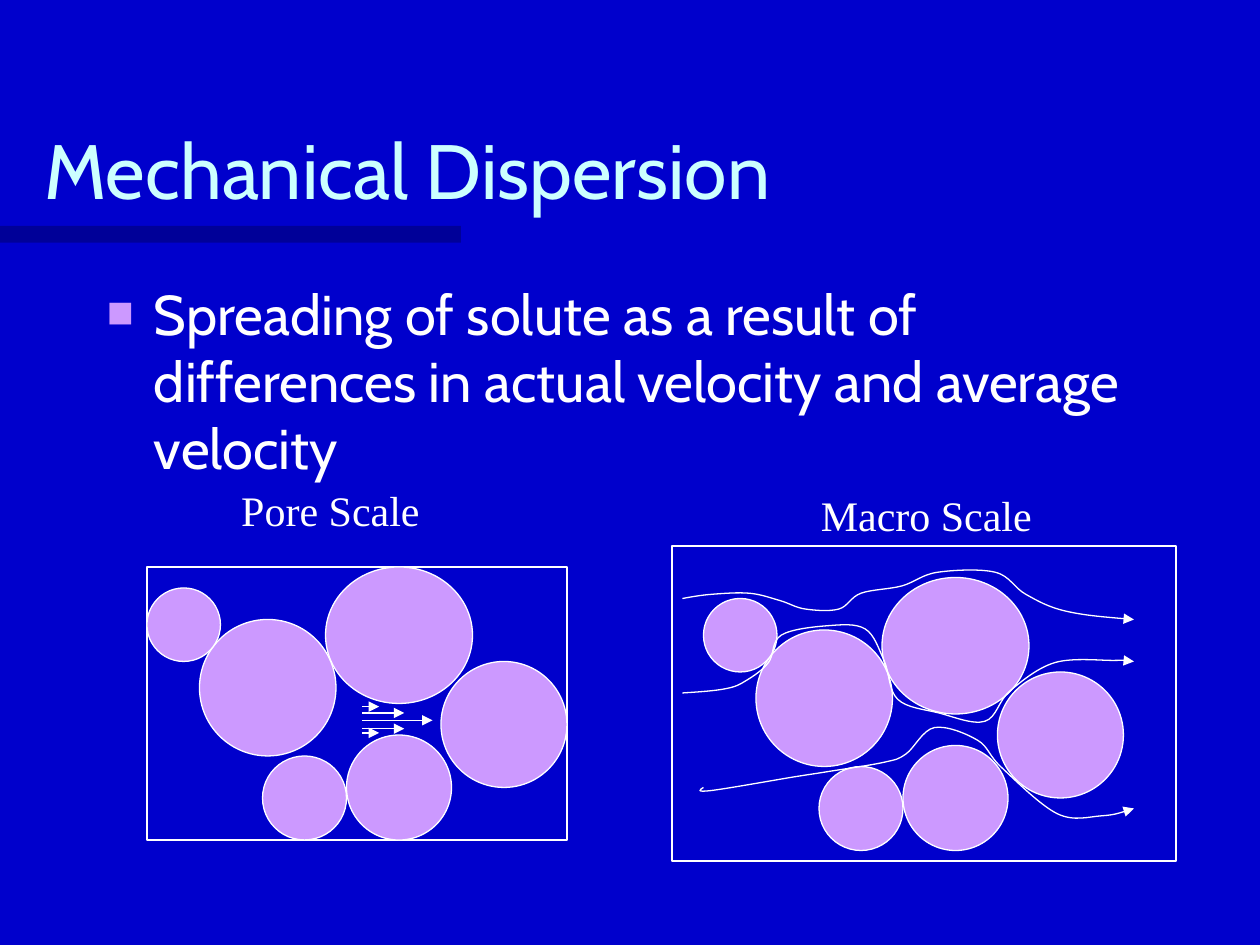
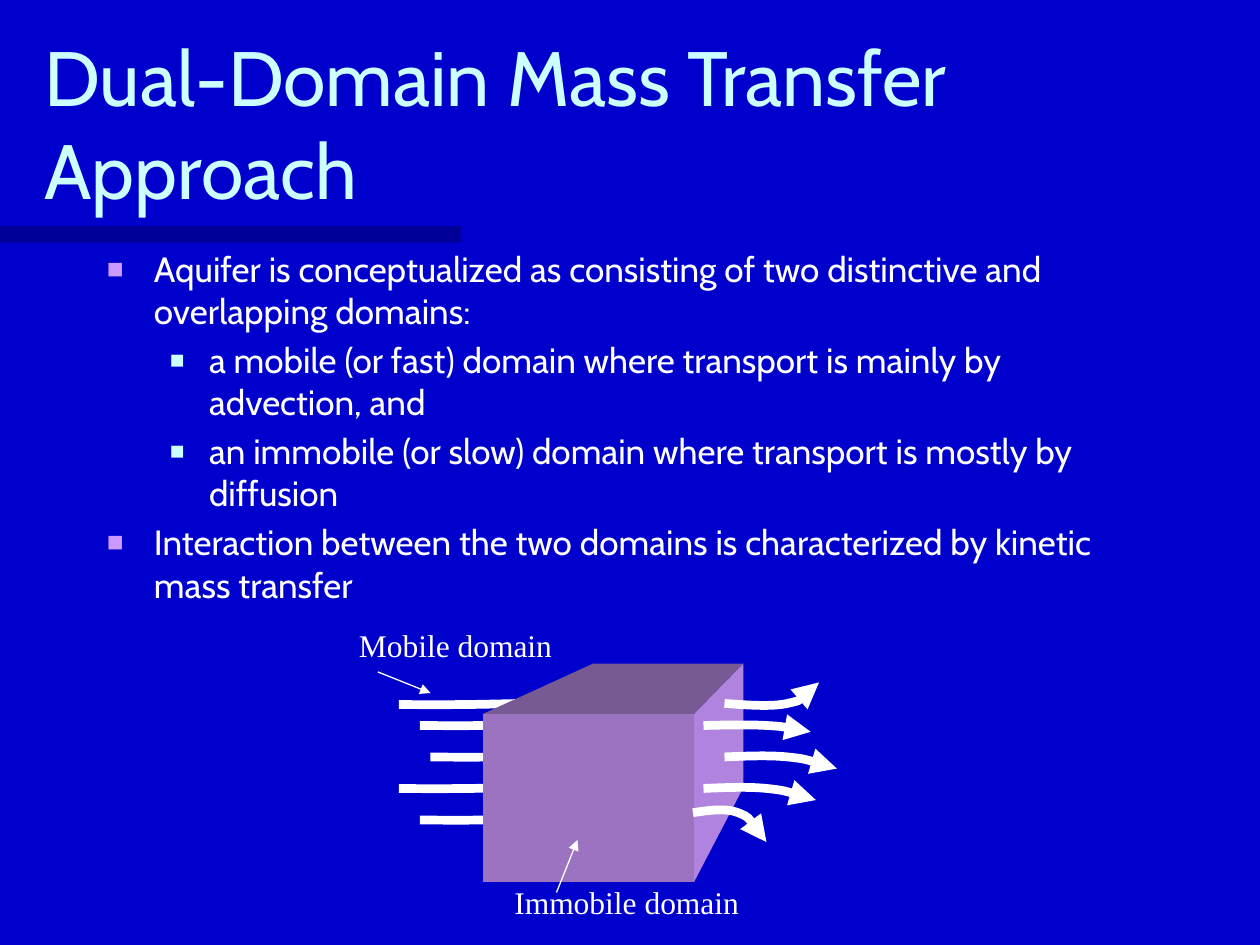
from lxml import etree
from pptx import Presentation
from pptx.dml.color import RGBColor
from pptx.enum.shapes import MSO_CONNECTOR, MSO_SHAPE
from pptx.enum.text import MSO_ANCHOR, MSO_AUTO_SIZE, PP_ALIGN
from pptx.oxml.ns import qn
from pptx.util import Cm, Pt

RECT, OVAL = MSO_SHAPE.RECTANGLE, MSO_SHAPE.OVAL
STRAIGHT = MSO_CONNECTOR.STRAIGHT
BOTTOM, LEFT = MSO_ANCHOR.BOTTOM, PP_ALIGN.LEFT
FIXED = MSO_AUTO_SIZE.NONE

COLORS = {
    "back": "0000CC", "band": "000066", "title": "CCFFFF", "text": "FFFFFF",
    "grain": "CC99FF", "front": "9B73C1", "top": "775993", "side": "B084DE",
}
SANS, SERIF = "Cabin", "Times New Roman"
GRID = 25.4 / 120
THIN, THICK = 0.75, 5
BULLETS = [("grain", 80, 0.95, 0.95), ("title", 70, 2.06, 0.79)]

GRAINS = [(5, 5, 13, 13), (17, 0, 14, 13), (11, 18, 8, 8),
          (19, 16, 10, 10), (0, 2, 7, 7), (28, 9, 12, 12)]
SPEEDS = [(14.6, 6.7), (13.9, 4), (13.3, 1.6), (15.4, 4), (15.8, 1.6)]
STREAMS = [
    [(1, 5), (3.8, 4.6), (7.4, 4.5), (10.3, 5.2), (12.7, 6), (15.9, 6),
     (18, 4.5), (21.9, 3.8), (25.3, 2.5), (30.8, 2.5), (33.7, 4.6),
     (37.5, 6.2), (44, 7)],
    [(1, 14), (5.1, 13.6), (7.1, 12.8), (9.2, 11.1), (10.4, 8.5),
     (14.8, 7.6), (18.4, 7.9), (20.2, 10.9), (21.5, 14.6), (25.4, 15.9),
     (29.8, 16.7), (32.2, 13.8), (36.5, 11.1), (42.1, 10.9), (44, 11)],
    [(3, 23), (3.7, 23.3), (11.6, 22), (14.8, 21.5), (20.2, 20.6),
     (22.3, 19.8), (25, 17.3), (29.1, 18.5), (31.4, 21.1), (36.7, 25.5),
     (40.9, 25.7), (44, 25)],
]
INLETS = [(5, 8), (8, 13), (5, 16), (7, 10), (7, 19)]
OUTLETS = [
    [(36, 8), (42, 8), (45, 6)],
    [(34, 16.1), (40, 16.1), (44.7, 17.2)],
    [(34, 10.1), (40, 10.1), (44.2, 10.7)],
    [(33, 18.4), (37.3, 18.4), (40, 21.2)],
    [(36, 13.1), (42, 13.1), (46.7, 14.2)],
]
FACES = [
    ("top", [(13, 9), (23.5, 4.2), (37.8, 4.2), (33.1, 9)]),
    ("side", [(33.1, 9), (37.8, 4.2), (37.8, 16), (33.1, 25)]),
]


def tint(name):
    return RGBColor.from_string(COLORS[name])


def unit(num):
    return Cm(num * GRID)


def shift(box, point):
    return unit(box[0] + point[0]), unit(box[1] + point[1])


def paint(shape, fill=None, line=None):
    shape.shadow.inherit = False
    if fill:
        shape.fill.solid()
        shape.fill.fore_color.rgb = tint(fill)
    else:
        shape.fill.background()
    if line:
        stroke(shape, line)
    else:
        shape.line.fill.background()
    return shape


def stroke(shape, width, arrow=False):
    shape.line.color.rgb = tint("text")
    shape.line.width = Pt(width)
    if arrow:
        edge = shape.element.find(".//" + qn("a:ln"))
        etree.SubElement(edge, qn("a:tailEnd"), type="triangle")


def form(slide, kind, box, part, fill=None, line=None):
    size = unit(part[2]), unit(part[3])
    shape = slide.shapes.add_shape(kind, *shift(box, part), *size)
    return paint(shape, fill, line)


def arrow(slide, box, start, end):
    ends = *shift(box, start), *shift(box, end)
    line = slide.shapes.add_connector(STRAIGHT, *ends)
    stroke(line, THIN, True)
    etree.SubElement(line.element.spPr, qn("a:effectLst"))


def outline(slide, box, points, close):
    spots = [shift(box, point) for point in points]
    pen = slide.shapes.build_freeform(*spots[0])
    pen.add_line_segments(spots[1:], close=close)
    return pen.convert_to_shape()


def bend(points):
    def slope(i):
        return [(b - a) / 6 for a, b in zip(points[i - 1], points[i + 1])]

    def middle(one, two):
        return tuple((a + b) / 2 for a, b in zip(one, two))

    last = len(points) - 1
    path = [points[0]]
    for i in range(last):
        start, end = points[i], points[i + 1]
        if i > 0:
            out = tuple(a + d for a, d in zip(start, slope(i)))
        if i + 1 < last:
            into = tuple(a - d for a, d in zip(end, slope(i + 1)))
        else:
            into = middle(out, end)
        if i == 0:
            out = middle(start, into)
        path += [out, into, end]
    return path


def curve(slide, box, points, width, arrow=False):
    shape = outline(slide, box, bend(points), False)
    legs = list(shape.element.iter(qn("a:lnTo")))
    for i in range(0, len(legs), 3):
        arc = etree.Element(qn("a:cubicBezTo"))
        legs[i].addprevious(arc)
        for leg in legs[i:i + 3]:
            arc.append(leg[0])
            leg.getparent().remove(leg)
    paint(shape)
    stroke(shape, width, arrow)


def write(para, text, size, font, color):
    run = para.add_run()
    run.text = text
    run.font.size = Pt(size)
    run.font.name = font
    run.font.color.rgb = tint(color)


def label(slide, box, part, text, size):
    spot = *shift(box, part), unit(part[2]), unit(part[3])
    frame = slide.shapes.add_textbox(*spot).text_frame
    frame.word_wrap = False
    write(frame.paragraphs[0], text, size, SERIF, "text")


def mark(para, level):
    color, size, indent, hang = BULLETS[level]
    para.level = level
    props = para._p.get_or_add_pPr()
    props.set("marL", str(Cm(indent)))
    props.set("indent", str(-Cm(hang)))
    hue = etree.SubElement(props, qn("a:buClr"))
    etree.SubElement(hue, qn("a:srgbClr"), val=COLORS[color])
    etree.SubElement(props, qn("a:buSzPct"), val=str(size * 1000))
    etree.SubElement(props, qn("a:buFont"), typeface=SERIF)
    etree.SubElement(props, qn("a:buChar"), char="■")


def place(shape, left, top, width, height):
    shape.left, shape.top = Cm(left), Cm(top)
    shape.width, shape.height = Cm(width), Cm(height)
    shape.text_frame.auto_size = FIXED
    return shape.text_frame


def base(prs, title, items, size, top, height):
    slide = prs.slides.add_slide(prs.slide_layouts[1])
    band = form(slide, RECT, (0, 0), (0, 21.5, 43.9, 1.6), "band")
    shade = band.element.find(".//" + qn("a:srgbClr"))
    etree.SubElement(shade, qn("a:alpha"), val="50000")

    head = place(slide.shapes.title, 0.64, 1.27, 21.59, 3.18)
    head.vertical_anchor = BOTTOM
    head.paragraphs[0].alignment = LEFT
    write(head.paragraphs[0], title, 44, SANS, "title")

    body = place(slide.placeholders[1], 1.9, top, 21.59, height)
    for i, (level, text) in enumerate(items):
        para = body.add_paragraph() if i else body.paragraphs[0]
        mark(para, level)
        write(para, text, size, SANS, "text")
    return slide


def grains(slide, box, inset):
    form(slide, RECT, box, (0, 0, *box[2:]), line=THIN)
    inner = box[0] + inset, box[1] + inset
    for grain in GRAINS:
        form(slide, OVAL, inner, grain, "grain", THIN)


def pore(slide, box):
    grains(slide, box, 0)
    label(slide, box, (7.8, -8.4, 19.4, 6), "Pore Scale", 24)
    for y, reach in SPEEDS:
        arrow(slide, box, (20.5, y), (20.5 + reach, y))


def macro(slide, box):
    grains(slide, box, 3)
    for stream in STREAMS:
        curve(slide, box, stream, THIN, True)
    label(slide, box, (13, -6, 22.6, 6), "Macro Scale", 24)


def domain(slide, box):
    for x, y in INLETS:
        curve(slide, box, [(x, y + 0.1), (x + 6, y + 0.1), (x + 11.3, y)], THICK)
    form(slide, RECT, box, (13, 9, 20.1, 16), "front")
    for color, points in FACES:
        paint(outline(slide, box, points, True), color)
    for outlet in OUTLETS:
        curve(slide, box, outlet, THICK, True)
    label(slide, box, (14.8, 24.5, 23.9, 4.8), "Immobile domain", 18)
    label(slide, box, (0, 0, 20.9, 4.8), "Mobile domain", 18)
    arrow(slide, box, (20, 26), (22, 21))
    arrow(slide, box, (3, 5), (8, 7))


def main():
    prs = Presentation()
    prs.slide_width, prs.slide_height = Cm(25.4), Cm(19.05)
    back = prs.slide_master.background.fill
    back.solid()
    back.fore_color.rgb = tint("back")

    slide = base(prs, "Mechanical Dispersion", [
        (0, "Spreading of solute as a result of differences in actual "
            "velocity and average velocity"),
    ], 32, 5.5, 11.43)
    pore(slide, (14, 54, 40, 26))
    macro(slide, (64, 52, 48, 30))

    slide = base(prs, "Dual-Domain Mass Transfer Approach", [
        (0, "Aquifer is conceptualized as consisting of two distinctive "
            "and overlapping domains:"),
        (1, "a mobile (or fast) domain where transport is mainly by "
            "advection, and"),
        (1, "an immobile (or slow) domain where transport is mostly by "
            "diffusion"),
        (0, "Interaction between the two domains is characterized by "
            "kinetic mass transfer"),
    ], 20, 4.87, 7.62)
    domain(slide, (33, 59))
    prs.save("out.pptx")


if __name__ == "__main__":
    main()
